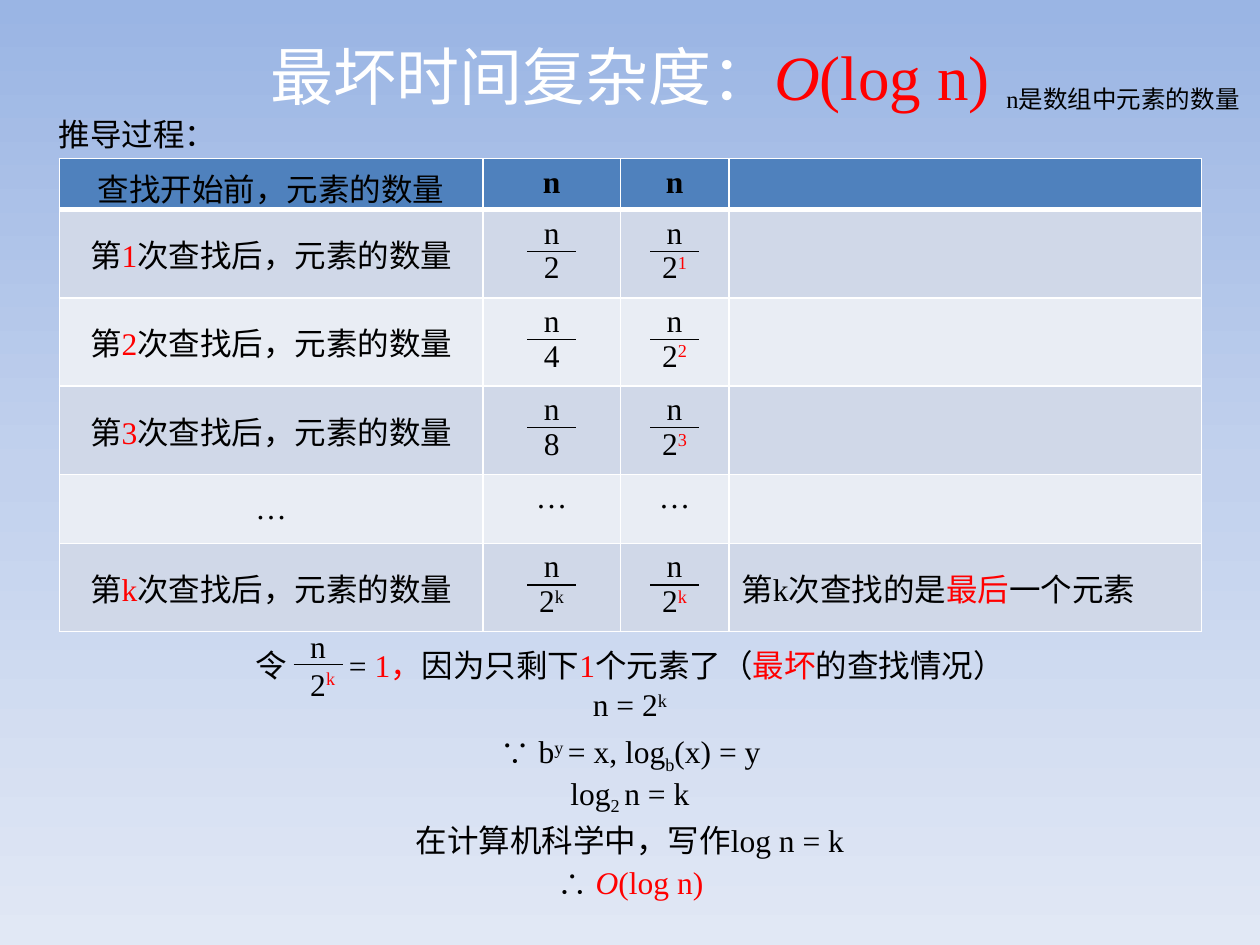
from copy import deepcopy
from itertools import accumulate

from lxml.etree import SubElement
from pptx import Presentation
from pptx.dml.color import RGBColor
from pptx.enum.shapes import MSO_CONNECTOR as Connector
from pptx.enum.text import MSO_ANCHOR as Anchor, PP_ALIGN as Align
from pptx.oxml import parse_xml
from pptx.oxml.ns import nsdecls, qn
from pptx.util import Pt

COLORS = {
    "black": "000000", "white": "FFFFFF", "red": "FF0000",
    "header": "4F81BD", "odd": "D0D8E8", "even": "E9EDF4",
    "sky": "9AB5E4", "haze": "C2D1ED", "mist": "E1E8F5",
}
LATIN = "Times New Roman"
CJK = "Noto Sans CJK SC"
TABLE_LEFT, TABLE_TOP = 34, 90.7
COLUMNS = [242, 78.5, 62, 270]
ROWS = [29.1, 50.2, 50.4, 50.4, 39.5, 50.4]
BAR_WIDTH, BAR_DROP = 28, 24
RED = {"color": "red"}
SUP = {"baseline": 30}
SUB = {"baseline": -25}
RED_SUP = RED | SUP


def rgb(name):
    return RGBColor.from_string(COLORS[name])


def add_run(paragraph, text, size=18, color="black", font=LATIN,
            bold=False, italic=False, baseline=0, spacing=0):
    run = paragraph.add_run()
    run.text = text
    run.font.size = Pt(size)
    run.font.name = font
    run.font.bold = bold
    run.font.italic = italic
    run.font.color.rgb = rgb(color)
    properties = run._r.get_or_add_rPr()
    if baseline:
        properties.set("baseline", str(baseline * 1000))
    if spacing:
        properties.set("spc", str(int(spacing * 100)))


def write(frame, lines, align=Align.CENTER):
    for index, line in enumerate(lines):
        paragraph = frame.add_paragraph() if index else frame.paragraphs[0]
        paragraph.alignment = align
        for text, style in line:
            add_run(paragraph, text, **style)


def add_text(slide, left, top, width, height, lines, align=Align.CENTER, wrap=True):
    box = slide.shapes.add_textbox(Pt(left), Pt(top), Pt(width), Pt(height))
    box.text_frame.word_wrap = wrap
    write(box.text_frame, lines, align)


def add_bar(slide, left, top):
    bar = slide.shapes.add_connector(
        Connector.STRAIGHT, Pt(left), Pt(top), Pt(left + BAR_WIDTH), Pt(top))
    bar.line.color.rgb = rgb("black")
    bar.line.width = Pt(0.75)
    SubElement(bar._element.spPr, qn("a:effectLst"))


def paint_background(slide):
    fill = slide.background.fill
    fill.gradient()
    fill.gradient_angle = 270
    first = fill.gradient_stops[0]._gs
    first.addnext(deepcopy(first))
    for stop, position, name in zip(
            fill.gradient_stops, (0, 0.5, 1), ("sky", "haze", "mist")):
        stop.position = position
        stop.color.rgb = rgb(name)


def add_title(slide):
    title = slide.shapes.title
    title.left, title.top, title.width, title.height = Pt(0), Pt(18), Pt(720), Pt(94)
    title.text_frame.word_wrap = True
    title.text_frame.vertical_anchor = Anchor.TOP
    write(title.text_frame, [[
        ("最坏时间复杂度：", {"size": 36, "color": "white", "font": CJK}),
        ("O", {"size": 36, "color": "red", "italic": True}),
        ("(log n)", {"size": 36, "color": "red"}),
    ]])


def set_borders(cell, top, bottom):
    properties = cell._tc.get_or_add_tcPr()
    for index, (side, width) in enumerate(
            [("L", 1), ("R", 1), ("T", top), ("B", bottom)]):
        properties.insert(index, parse_xml(
            f'<a:ln{side} {nsdecls("a")} w="{Pt(width)}"><a:solidFill>'
            f'<a:srgbClr val="{COLORS["white"]}"/></a:solidFill></a:ln{side}>'))


def fraction(*denominator):
    return [[("n", {})], list(denominator)]


def step_row(step, plain, power_style=RED_SUP):
    label = [[("第", {}), (step, RED), ("次查找后，元素的数量", {})]]
    return [label, fraction(*plain), fraction(("2", {}), (step, power_style)), []]


def table_content():
    bold_n = [[("n", {"bold": True})]]
    dots = [[("…", {})]]
    last = step_row("k", [("2", {}), ("k", SUP)])
    last[3] = [[("第k次查找的是", {}), ("最后", RED), ("一个元素", {})]]
    return [
        [[[("查找开始前，元素的数量", {})]], bold_n, bold_n, []],
        *[step_row(str(step), [(str(2 ** step), {})]) for step in (1, 2, 3)],
        [dots, dots, dots, []],
        last,
    ]


def add_halving_table(slide):
    table = slide.shapes.add_table(
        len(ROWS), len(COLUMNS), Pt(TABLE_LEFT), Pt(TABLE_TOP),
        Pt(sum(COLUMNS)), Pt(sum(ROWS))).table
    for column, width in zip(table.columns, COLUMNS):
        column.width = Pt(width)
    for row, height in zip(table.rows, ROWS):
        row.height = Pt(height)
    for r, contents in enumerate(table_content()):
        shade = "header" if r == 0 else "odd" if r % 2 else "even"
        for c, lines in enumerate(contents):
            cell = table.cell(r, c)
            cell.fill.solid()
            cell.fill.fore_color.rgb = rgb(shade)
            set_borders(cell, 3 if r == 1 else 1, 3 if r == 0 else 1)
            if r == 0:
                cell.margin_bottom = Pt(0)
            elif c in (0, 3):
                cell.vertical_anchor = Anchor.MIDDLE
            write(cell.text_frame, lines, Align.LEFT if c == 3 else Align.CENTER)


def add_table_bars(slide):
    lefts = list(accumulate(COLUMNS, initial=TABLE_LEFT))
    tops = list(accumulate(ROWS, initial=TABLE_TOP))
    for c in (1, 2):
        for r in (1, 2, 3, 5):
            add_bar(slide, lefts[c] + (COLUMNS[c] - BAR_WIDTH) / 2, tops[r] + BAR_DROP)


def add_derivation(slide):
    steps = [
        (365.8, [("令", {}), (" ", {"spacing": 31.5}), ("= ", {}), ("1，", RED),
                 ("因为只剩下", {}), ("1", RED), ("个元素了（", {}),
                 ("最坏", RED), ("的查找情况）", {})]),
        (388, [("n = 2", {}), ("k", SUP)]),
        (414.7, [("∵ b", {}), ("y ", SUP), ("= x, log", {}), ("b", SUB), ("(x) = y", {})]),
        (438.5, [("log", {}), ("2 ", SUB), ("n = k", {})]),
        (465.8, [("在计算机科学中，写作log n = k", {})]),
        (489.6, [("∴ ", {}), ("O", RED | {"italic": True}), ("(log n)", RED)]),
    ]
    for top, line in steps:
        add_text(slide, 0, top, 720, 29, [line])
    add_text(slide, 159, 355, 45.4, 72.7, fraction(("2", {})))
    add_bar(slide, 167.8, 379.8)
    add_text(slide, 179.3, 375.8, 39.6, 29, [[("k", RED_SUP)]], Align.LEFT)


def main():
    deck = Presentation()
    deck.slide_width, deck.slide_height = Pt(720), Pt(540)
    slide = deck.slides.add_slide(deck.slide_layouts[5])
    paint_background(slide)
    add_title(slide)
    add_text(slide, 568, 44.6, 152, 24.5,
             [[("n是数组中元素的数量", {"size": 14})]], Align.LEFT, wrap=False)
    add_halving_table(slide)
    add_table_bars(slide)
    add_text(slide, 26.6, 62, 288, 29, [[("推导过程：", {})]], Align.LEFT)
    add_derivation(slide)
    deck.save("out.pptx")


if __name__ == "__main__":
    main()
